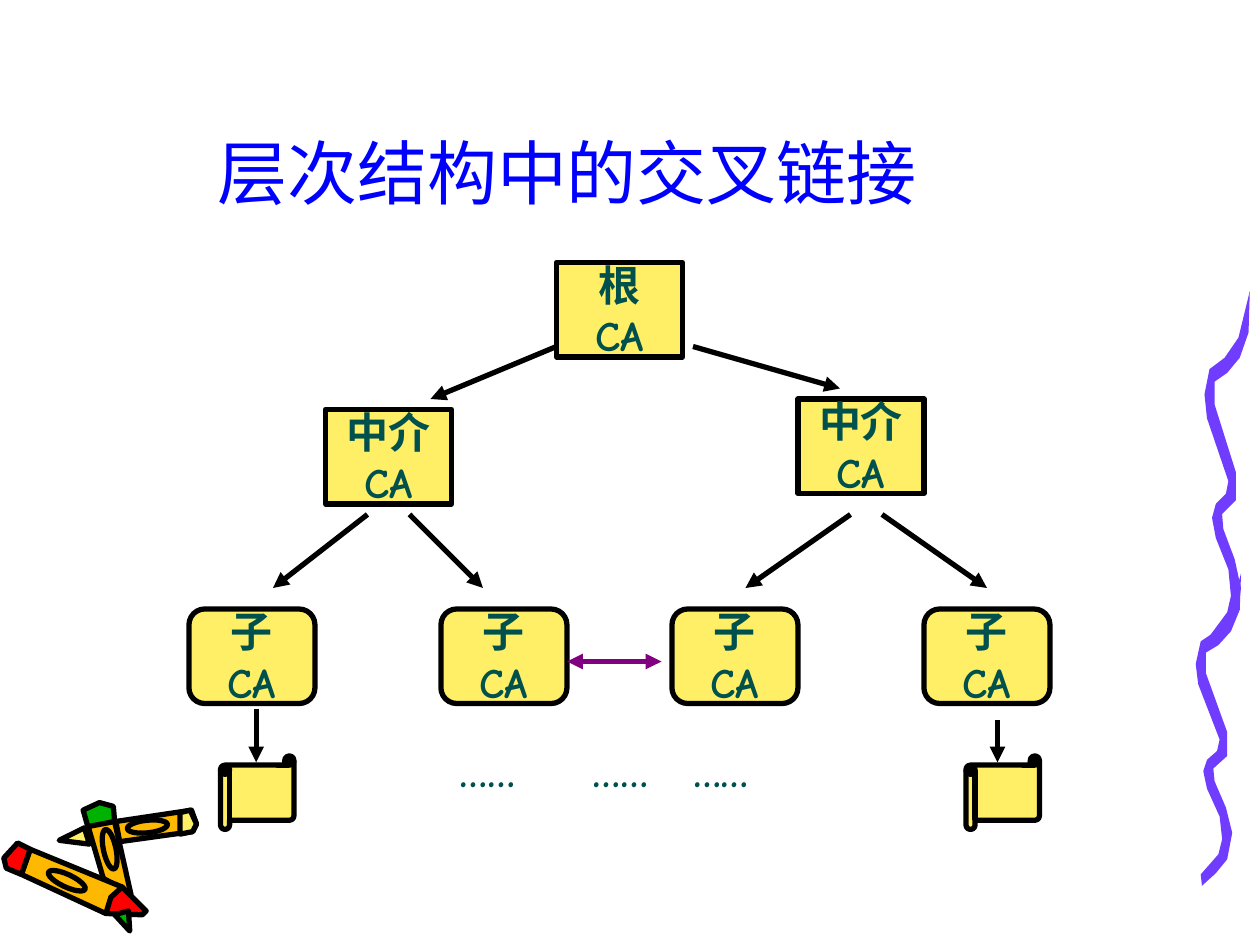
from lxml import etree
from pptx import Presentation, util as u
from pptx.dml.color import RGBColor
from pptx.enum import shapes, text
from pptx.oxml.ns import qn

COLORS = {
    "title": "0000FF", "text": "00504E", "box": "FFEF66", "black": "000000",
    "cross": "800080", "wave": "703DFF", "red": "FF0000",
    "orange": "FFB800", "green": "00B200",
}
FONT = "Comic Neue"
COLUMNS, ROWS = 120, 90
TITLE = "层次结构中的交叉链接"
TITLE_AREA = (9, 2, 90, 18.9)
NODE_SIZE, SCROLL_SIZE = (12, 9), (7, 7)

RECTANGLE = shapes.MSO_SHAPE.RECTANGLE
ROUNDED = shapes.MSO_SHAPE.ROUNDED_RECTANGLE
SCROLL = shapes.MSO_SHAPE.HORIZONTAL_SCROLL
LEVELS = [
    ("根\vCA", RECTANGLE, NODE_SIZE, [(53, 25)]),
    ("中介\vCA", RECTANGLE, NODE_SIZE, [(76, 38), (31, 39)]),
    ("子\vCA", ROUNDED, NODE_SIZE, [(column, 58) for column in (18, 42, 64, 88)]),
    ("", SCROLL, SCROLL_SIZE, [(21, 72), (92, 72)]),
]
ELLIPSES = "……\t……\t……"
ELLIPSES_AREA = (43.8, 71, 28, 4.8)
ELLIPSES_TABS = (12.6, 22.2)
ARROWS = [
    ((95, 68.6), (95, 72.6)), ((24.4, 67.5), (24.4, 72.6)),
    ((53, 33), (41, 38)), ((66, 33), (80, 37)),
    ((35, 49), (26, 56)), ((39, 49), (46, 56)),
    ((81, 49), (71, 56)), ((84, 49), (94, 56)),
]
CROSS_LINK = ((54, 63), (63, 63))

PENCIL_PARTS = [
    ("orange", [(92, 652), (152, 643), (156, 654), (153, 660), (95, 668)]),
    ("box", [(143, 645), (151, 643), (156, 654), (153, 660), (143, 662)]),
    ("box", [(67, 657), (47, 667), (71, 670)]),
    ("green", [(66, 643), (79, 637), (90, 640), (91, 652), (70, 657)]),
    ("orange", [(70, 656), (91, 652), (104, 710), (82, 697)]),
    ("orange", [(24, 674), (97, 704), (84, 725), (17, 694)]),
    ("red", [(14, 669), (24, 674), (17, 694), (5, 689), (3, 681)]),
    ("red", [(97, 704), (116, 723), (113, 726), (84, 725), (88, 712)]),
    ("green", [(91, 726), (102, 723), (103, 739)]),
]
GRAINS = [(53, 699, 25), (87, 674, 78), (117, 656, -6)]
GRAIN_SIZE = (32, 10)
WAVE = [
    (4, 239), (18, 223), (21, 211), (19, 193), (9, 171), (6, 157), (9, 148), (17, 141),
    (19, 132), (2, 88), (0, 72), (4, 54), (16, 46), (27, 32), (36, 0), (35, 29), (28, 46),
    (18, 57), (8, 63), (8, 79), (25, 126), (25, 145), (14, 155), (15, 165), (24, 186),
    (29, 206), (25, 227), (16, 238), (5, 248),
]
WAVE_PLACES = [(949, 455, 1), (956, 231, 1.145)]

presentation = Presentation()
presentation.slide_width, presentation.slide_height = u.Inches(10), u.Inches(7.5)
CELL = presentation.slide_width / COLUMNS
slide = presentation.slides.add_slide(presentation.slide_layouts[5])


def color(name):
    return RGBColor.from_string(COLORS[name])


def grid(*lengths):
    return [u.Emu(round(length * CELL)) for length in lengths]


def style_text(frame, size, name, bold):
    for run in frame.paragraphs[0].runs:
        run.font.name, run.font.size, run.font.bold = FONT, u.Pt(size), bold
        run.font.color.rgb = color(name)


def clear_margins(frame):
    frame.margin_left = frame.margin_right = frame.margin_top = frame.margin_bottom = 0


def paint(shape, fill, width):
    shape.shadow.inherit = False
    shape.fill.solid()
    shape.fill.fore_color.rgb = color(fill)
    if width:
        shape.line.color.rgb, shape.line.width = color("black"), u.Pt(width)
    else:
        shape.line.fill.background()


def draw_outline(group, points, fill, width):
    builder = group.shapes.build_freeform(*points[0], scale=u.Inches(0.01))
    builder.add_line_segments(points[1:], close=True)
    paint(builder.convert_to_shape(), fill, width)


def draw_pencils():
    group = slide.shapes.add_group_shape()
    for fill, points in PENCIL_PARTS:
        draw_outline(group, points, fill, 3)
    width, height = GRAIN_SIZE
    for x, y, angle in GRAINS:
        area = (x - width / 2, y - height / 2, width, height)
        grain = group.shapes.add_shape(
            shapes.MSO_SHAPE.OVAL, *[u.Inches(length / 100) for length in area])
        grain.rotation = angle
        paint(grain, "orange", 3)


def draw_waves():
    group = slide.shapes.add_group_shape()
    for left, top, stretch in WAVE_PLACES:
        points = [(left + x, round(top + y * stretch)) for x, y in WAVE]
        draw_outline(group, points, "wave", 0)


def draw_node(label, kind, size, place):
    shape = slide.shapes.add_shape(kind, *grid(*place, *size))
    paint(shape, "box", 3)
    if label:
        frame = shape.text_frame
        clear_margins(frame)
        frame.word_wrap = False
        frame.vertical_anchor = text.MSO_ANCHOR.MIDDLE
        frame.paragraphs[0].text = label
        frame.paragraphs[0].alignment = text.PP_ALIGN.CENTER
        style_text(frame, 24, "text", True)


def draw_arrow(start, end, name, ends):
    arrow = slide.shapes.add_connector(shapes.MSO_CONNECTOR.STRAIGHT, *grid(*start, *end))
    arrow.line.color.rgb, arrow.line.width = color(name), u.Pt(3)
    line = arrow._element.spPr.find(qn("a:ln"))
    for tag in ends:
        etree.SubElement(line, qn(tag), type="triangle")
    etree.SubElement(arrow._element.spPr, qn("a:effectLst"))


draw_pencils()
draw_waves()

title = slide.shapes.title
title.left, title.top, title.width, title.height = grid(*TITLE_AREA)
title.text_frame.text = TITLE
title.text_frame.auto_size = text.MSO_AUTO_SIZE.NONE
title.text_frame.vertical_anchor = text.MSO_ANCHOR.BOTTOM
title.text_frame.paragraphs[0].alignment = text.PP_ALIGN.CENTER
style_text(title.text_frame, 40, "title", False)

for label, kind, size, places in LEVELS:
    for place in places:
        draw_node(label, kind, size, place)

ellipses = slide.shapes.add_textbox(*grid(*ELLIPSES_AREA)).text_frame
clear_margins(ellipses)
ellipses.word_wrap = True
ellipses.text = ELLIPSES
tabs = etree.SubElement(ellipses.paragraphs[0]._p.get_or_add_pPr(), qn("a:tabLst"))
for stop in grid(*ELLIPSES_TABS):
    etree.SubElement(tabs, qn("a:tab"), pos=str(int(stop)), algn="l")
style_text(ellipses, 24, "text", True)

for start, end in ARROWS:
    draw_arrow(start, end, "black", ["a:tailEnd"])
draw_arrow(*CROSS_LINK, "cross", ["a:headEnd", "a:tailEnd"])

presentation.save("out.pptx")
